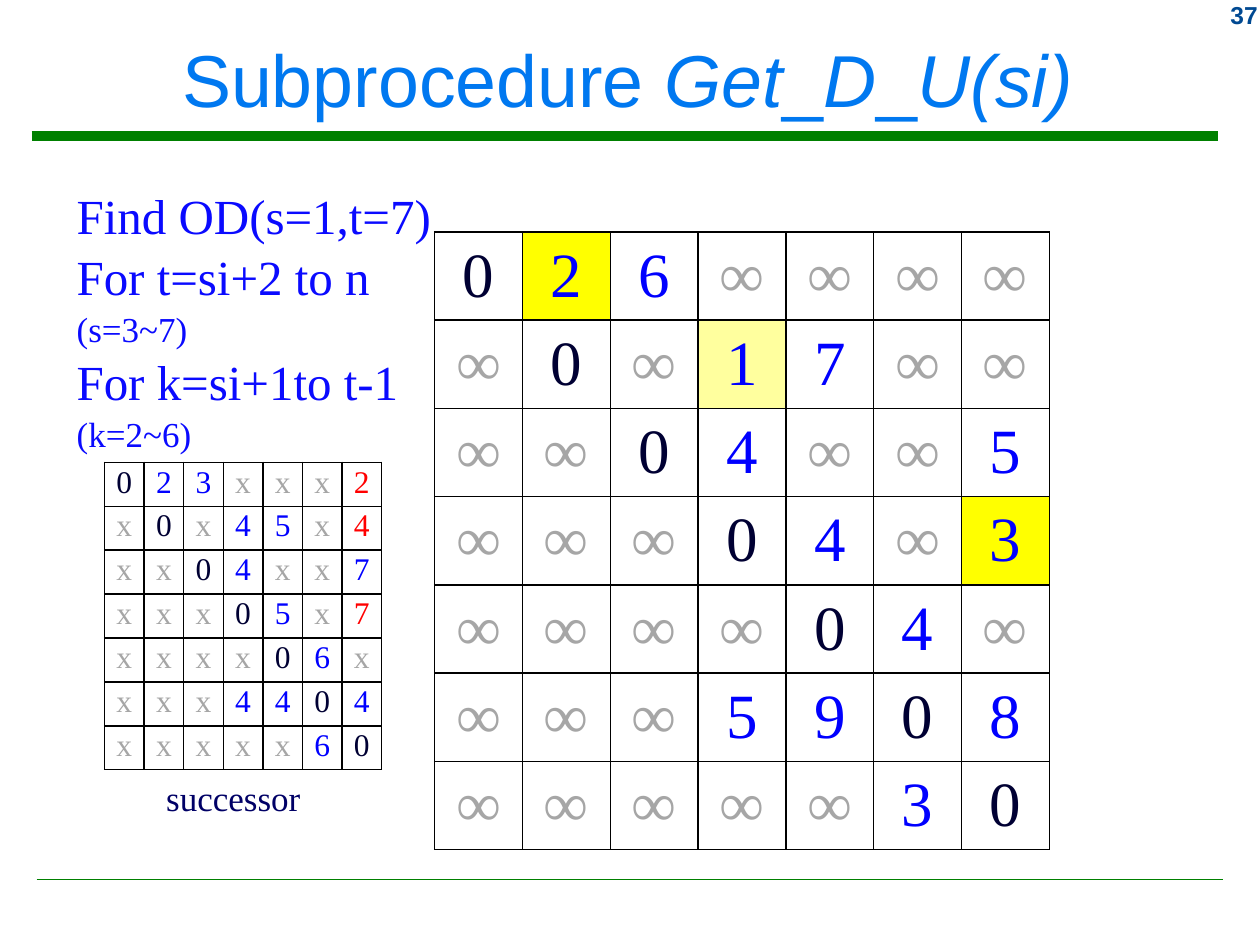
from lxml import etree
from pptx import Presentation
from pptx.dml.color import RGBColor
from pptx.enum.shapes import MSO_CONNECTOR
from pptx.enum.text import MSO_ANCHOR, PP_ALIGN
from pptx.oxml import parse_xml
from pptx.oxml.ns import nsdecls, qn
from pptx.util import Inches, Pt

COLORS = {
    "rule": "008000", "title": "0078F0", "number": "004992", "steps": "0A0AFF",
    "caption": "000066", "diagonal": "000033", "value": "0000FF", "empty": "A6A6A6",
    "changed": "FF0000", "border": "000000", "white": "FFFFFF",
    "path": "FFFF00", "candidate": "FFFF9E",
}
SERIF = "Times New Roman"
SANS = "Arial"

DISTANCES = ["026∞∞∞∞", "∞0∞17∞∞", "∞∞04∞∞5", "∞∞∞04∞3",
             "∞∞∞∞04∞", "∞∞∞5908", "∞∞∞∞∞30"]
DISTANCE_FILLS = {(0, 1): "path", (1, 3): "candidate", (3, 6): "path"}
SUCCESSORS = ["023xxx2", "x0x45x4", "xx04xx7", "xxx05x7",
              "xxxx06x", "xxx4404", "xxxxx60"]
CHANGED_SUCCESSORS = {(0, 6), (1, 6), (3, 6)}
STEPS = [("Find OD(s=1,t=7)", 28), ("For t=si+2 to n", 28), ("(s=3~7)", 20),
         ("For k=si+1to t-1", 28), ("(k=2~6)", 20)]
TITLE_RUNS = [("Subprocedure ", False), ("Get", True), ("_", False),
              ("D", True), ("_", False), ("U(si)", True)]


def rgb(name):
    return RGBColor.from_string(COLORS[name])


def style(font, face, size, color, bold=False, italic=False):
    font.name, font.size = face, Pt(size)
    font.color.rgb = rgb(color)
    font.bold, font.italic = bold, italic


def add_rule(slide, left, top, width, weight):
    rule = slide.shapes.add_connector(
        MSO_CONNECTOR.STRAIGHT, Inches(left), Inches(top), Inches(left + width), Inches(top))
    rule.line.color.rgb = rgb("rule")
    rule.line.width = Pt(weight)
    etree.SubElement(rule._element.spPr, qn("a:effectLst"))


def add_title(slide, left, top, width, height):
    title = slide.shapes.title
    title.left, title.top = Inches(left), Inches(top)
    title.width, title.height = Inches(width), Inches(height)
    title.text_frame.vertical_anchor = MSO_ANCHOR.MIDDLE
    paragraph = title.text_frame.paragraphs[0]
    paragraph.alignment = PP_ALIGN.CENTER
    for text, italic in TITLE_RUNS:
        run = paragraph.add_run()
        run.text = text
        style(run.font, SANS, 42, "title", italic=italic)


def add_text(slide, left, top, width, height, lines, face, color,
             align=PP_ALIGN.LEFT, bold=False, wrap=True, gap=0):
    box = slide.shapes.add_textbox(Inches(left), Inches(top), Inches(width), Inches(height))
    frame = box.text_frame
    frame.word_wrap = wrap
    frame.text = "\n".join(text for text, size in lines)
    for index, (paragraph, (text, size)) in enumerate(zip(frame.paragraphs, lines)):
        paragraph.alignment = align
        if index:
            paragraph.space_before = Pt(gap)
        style(paragraph.runs[0].font, face, size, color, bold=bold)
    return frame


def add_borders(cell):
    properties = cell._tc.get_or_add_tcPr()
    for position, side in enumerate(("lnL", "lnR", "lnT", "lnB")):
        properties.insert(position, parse_xml(
            f'<a:{side} {nsdecls("a")} w="{Pt(1)}"><a:solidFill>'
            f'<a:srgbClr val="{COLORS["border"]}"/></a:solidFill></a:{side}>'))


def value_color(value):
    return {"0": "diagonal", "x": "empty", "∞": "empty"}.get(value, "value")


def add_matrix(slide, left, top, width, height, rows, size, margins, anchor,
               fills=None, changed=()):
    count = len(rows)
    matrix = slide.shapes.add_table(
        count, count, Inches(left), Inches(top), Inches(width), Inches(height)).table
    matrix.first_row = matrix.horz_banding = False
    for index in range(count):
        matrix.columns[index].width = Inches(width / count)
        matrix.rows[index].height = Inches(height / count)
    for r, row in enumerate(rows):
        for c, value in enumerate(row):
            cell = matrix.cell(r, c)
            cell.margin_left = cell.margin_right = Inches(margins[0])
            cell.margin_top = cell.margin_bottom = Inches(margins[1])
            cell.vertical_anchor = anchor
            cell.fill.solid()
            cell.fill.fore_color.rgb = rgb((fills or {}).get((r, c), "white"))
            add_borders(cell)
            cell.text_frame.text = value
            paragraph = cell.text_frame.paragraphs[0]
            paragraph.alignment = PP_ALIGN.CENTER
            color = "changed" if (r, c) in changed else value_color(value)
            style(paragraph.runs[0].font, SERIF, size, color)


def main():
    presentation = Presentation()
    presentation.slide_width, presentation.slide_height = Inches(10), Inches(7.5)
    slide = presentation.slides.add_slide(presentation.slide_layouts[5])

    # Rules and page number
    add_rule(slide, 0.25, 1.08, 9.42, 5.25)
    add_rule(slide, 0.29, 6.98, 9.42, 1)
    add_text(slide, 9.17, -0.05, 0.91, 0.33, [("37", 14)], SANS, "number",
             align=PP_ALIGN.RIGHT, bold=True)

    add_title(slide, 0.08, 0.09, 9.8, 1.06)

    # Distance matrix
    add_matrix(slide, 3.45, 1.84, 4.88, 4.9, DISTANCES, 36, (0.1, 0.05),
               MSO_ANCHOR.MIDDLE, fills=DISTANCE_FILLS)

    # Loop steps
    steps = add_text(slide, 0.51, 1.39, 3.23, 2.66, STEPS, SERIF, "steps", gap=1.3)
    steps.margin_top = Inches(0.08)

    # Successor matrix with its caption
    add_text(slide, 1.22, 6.11, 1.28, 0.44, [("successor", 20)], SERIF, "caption", wrap=False)
    add_matrix(slide, 0.83, 3.67, 2.2, 2.44, SUCCESSORS, 18, (0.05, 0.02),
               MSO_ANCHOR.TOP, changed=CHANGED_SUCCESSORS)

    presentation.save("out.pptx")


if __name__ == "__main__":
    main()
